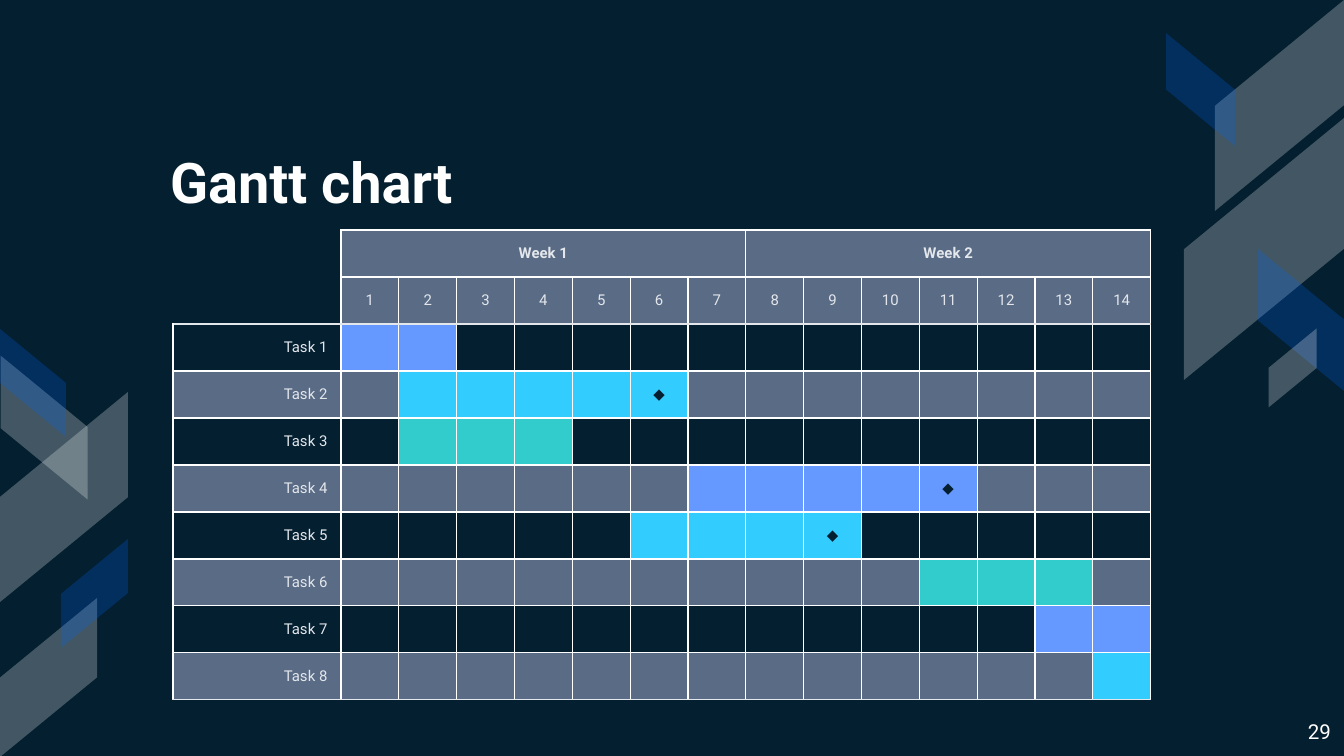
from lxml.etree import SubElement
from pptx import Presentation
from pptx.dml.color import RGBColor
from pptx.enum.shapes import MSO_SHAPE
from pptx.enum.text import MSO_ANCHOR, PP_ALIGN
from pptx.oxml.ns import qn
from pptx.util import Pt

EMU_PER_PX = 914400 / 134.4
NAVY = RGBColor(0x04, 0x1F, 0x30)
WHITE = RGBColor(0xFF, 0xFF, 0xFF)
PALE = RGBColor(0xE3, 0xE7, 0xEC)
SLATE = RGBColor(0x5A, 0x6B, 0x85)
ROYAL = RGBColor(0x00, 0x66, 0xFF)
PERIWINKLE = RGBColor(0x66, 0x99, 0xFF)
SKY = RGBColor(0x33, 0xCC, 0xFF)
TEAL = RGBColor(0x33, 0xCC, 0xCC)

FONT_NAME = "Roboto"
OPACITY = {WHITE: 25, ROYAL: 23}
DAYS_PER_WEEK = 7
WEEKS = 2
DAYS = DAYS_PER_WEEK * WEEKS
HEADER_ROWS = 2

RIBBONS = [
    (1174, 41, 211, 129, 90, True, WHITE),
    (1133, 169, 262, 160, 90, True, WHITE),
    (1230, 277, 142, 86, 270, False, ROYAL),
    (1144, 55, 113, 69, 270, False, ROYAL),
    (1253, 344, 79, 48, 270, True, WHITE),
    (-42, 433, 211, 129, 90, True, WHITE),
    (-28, 384, 144, 87, 90, False, WHITE),
    (-31, 629, 159, 97, 270, True, WHITE),
    (-22, 349, 109, 67, 270, False, ROYAL),
    (40, 560, 109, 67, 270, True, ROYAL),
]

TASKS = [
    (1, 2, PERIWINKLE, None),
    (2, 6, SKY, 6),
    (2, 4, TEAL, None),
    (7, 11, PERIWINKLE, 11),
    (6, 9, SKY, 9),
    (11, 13, TEAL, None),
    (13, 14, PERIWINKLE, None),
    (14, 14, SKY, None),
]


def px(length):
    return round(length * EMU_PER_PX)


def set_attributes(target, values):
    for name, value in values.items():
        setattr(target, name, value)


def write_text(frame, text, size, color, alignment, bold=False):
    paragraph = frame.paragraphs[0]
    paragraph.alignment = alignment
    run = paragraph.add_run()
    run.text = text
    set_attributes(run.font, {"name": FONT_NAME, "size": Pt(size), "bold": bold})
    run.font.color.rgb = color


def add_ribbon(slide, left, top, width, height, rotation, flipped, color):
    shape = slide.shapes.add_shape(
        MSO_SHAPE.PARALLELOGRAM, px(left), px(top), px(width), px(height)
    )
    shape.shadow.inherit = False
    shape.rotation = rotation
    shape.adjustments[0] = 0.82
    shape.line.fill.background()
    shape.fill.solid()
    shape.fill.fore_color.rgb = color
    properties = shape._element.spPr
    if flipped:
        properties.find(qn("a:xfrm")).set("flipH", "1")
    color_element = properties.find(qn("a:solidFill")).find(qn("a:srgbClr"))
    SubElement(color_element, qn("a:alpha")).set("val", str(OPACITY[color] * 1000))


def add_label(slide, box, text, size, alignment, anchor, bold=False):
    frame = slide.shapes.add_textbox(*map(px, box)).text_frame
    margins = {f"margin_{side}": px(13) for side in ("left", "top", "right", "bottom")}
    set_attributes(frame, {"word_wrap": True, "vertical_anchor": anchor, **margins})
    write_text(frame, text, size, WHITE, alignment, bold)


def set_borders(cell, colors):
    properties = cell._tc.get_or_add_tcPr()
    for side in "LRTB":
        color = colors.get(side)
        line = SubElement(properties, qn(f"a:ln{side}"), w=str(Pt(0.75)))
        if color is None:
            SubElement(line, qn("a:noFill"))
        else:
            fill = SubElement(line, qn("a:solidFill"))
            SubElement(fill, qn("a:srgbClr"), val=str(color))


def border_colors(row, column, last_row):
    colors = dict.fromkeys("LRTB", WHITE)
    if row < HEADER_ROWS and column == 0:
        colors = {"R": WHITE}
    if row in (HEADER_ROWS - 1, last_row):
        colors["B"] = PALE
    if row == HEADER_ROWS:
        colors["T"] = PALE
    return colors


def cell_content(row, column):
    if row < HEADER_ROWS:
        if column == 0:
            return "", None
        if row == 0:
            week, day = divmod(column - 1, DAYS_PER_WEEK)
            return (f"Week {week + 1}" if day == 0 else ""), SLATE
        return str(column), SLATE
    number = row - HEADER_ROWS + 1
    first, last, color, milestone = TASKS[number - 1]
    band = SLATE if number % 2 == 0 else None
    if column == 0:
        return f"Task {number}", band
    text = "◆" if column == milestone else ""
    return text, color if first <= column <= last else band


def format_cell(cell, row, column, last_row):
    text, color = cell_content(row, column)
    set_borders(cell, border_colors(row, column, last_row))
    if color is None:
        cell.fill.background()
    else:
        cell.fill.solid()
        cell.fill.fore_color.rgb = color
    cell.vertical_anchor = MSO_ANCHOR.MIDDLE
    if text:
        is_task_name = row >= HEADER_ROWS and column == 0
        alignment = PP_ALIGN.RIGHT if is_task_name else PP_ALIGN.CENTER
        text_color = NAVY if text == "◆" else PALE
        write_text(cell.text_frame, text, 8, text_color, alignment, row == 0)
    else:
        paragraph = cell.text_frame.paragraphs[0]
        SubElement(paragraph._p, qn("a:endParaRPr"), sz="800")


def add_gantt_table(slide):
    row_count = HEADER_ROWS + len(TASKS)
    table = slide.shapes.add_table(
        row_count, DAYS + 1, px(173), px(230), px(978), px(470)
    ).table
    set_attributes(table, {"first_row": False, "horz_banding": False})
    for index, column in enumerate(table.columns):
        column.width = px(168) if index == 0 else px(810) // DAYS
    for row in table.rows:
        row.height = px(47)
    for row in range(row_count):
        for column in range(DAYS + 1):
            format_cell(table.cell(row, column), row, column, row_count - 1)
    for first in range(1, DAYS, DAYS_PER_WEEK):
        table.cell(0, first).merge(table.cell(0, first + DAYS_PER_WEEK - 1))


def main():
    presentation = Presentation()
    set_attributes(presentation, {"slide_width": px(1344), "slide_height": px(756)})
    slide = presentation.slides.add_slide(presentation.slide_layouts[6])
    slide.background.fill.solid()
    slide.background.fill.fore_color.rgb = NAVY
    for ribbon in RIBBONS:
        add_ribbon(slide, *ribbon)
    add_label(slide, (157, 134, 878, 94), "Gantt chart", 30,
              PP_ALIGN.LEFT, MSO_ANCHOR.BOTTOM, True)
    add_label(slide, (1258, 707, 86, 49), "29", 11, PP_ALIGN.RIGHT, MSO_ANCHOR.TOP)
    add_gantt_table(slide)
    presentation.save("out.pptx")


if __name__ == "__main__":
    main()
